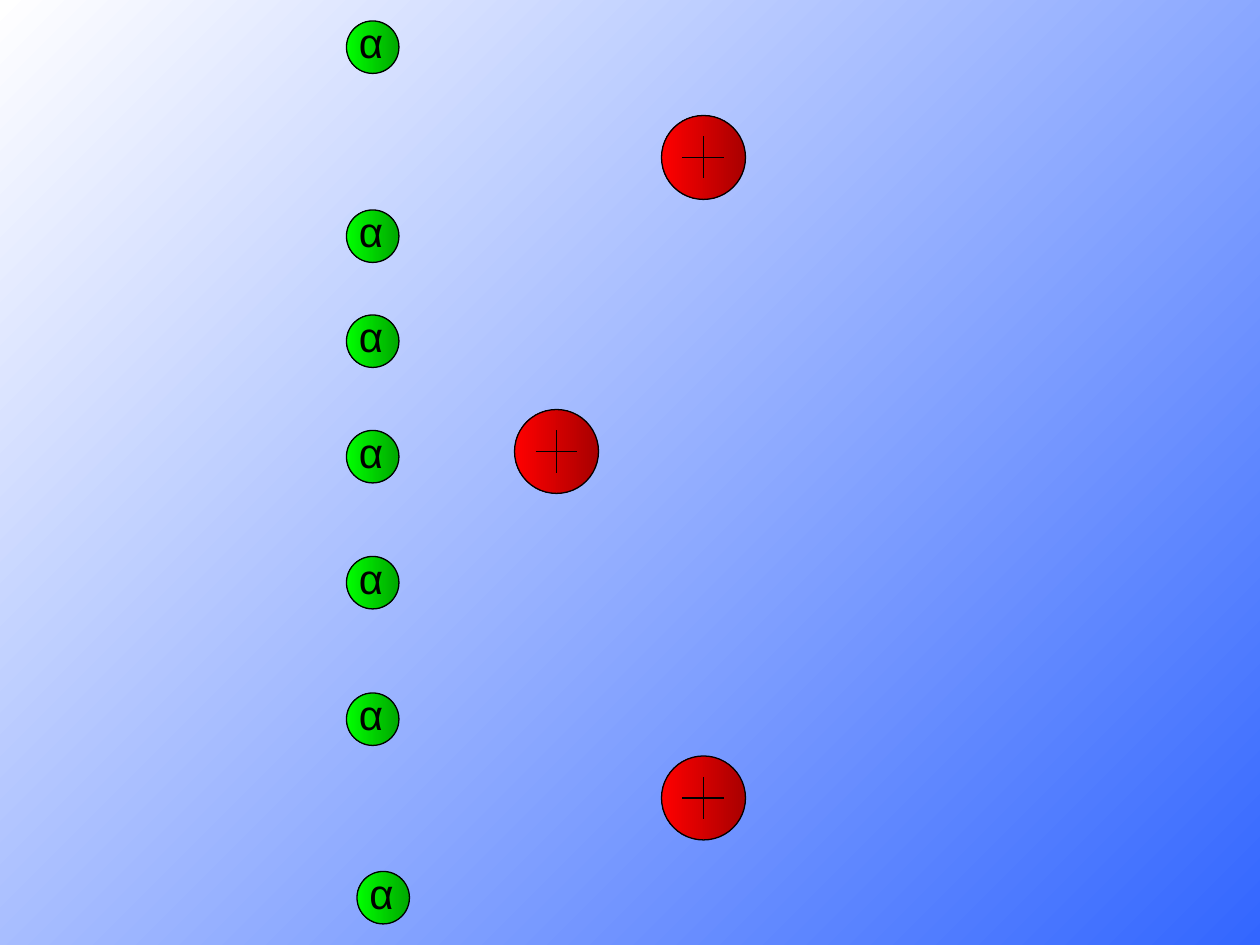
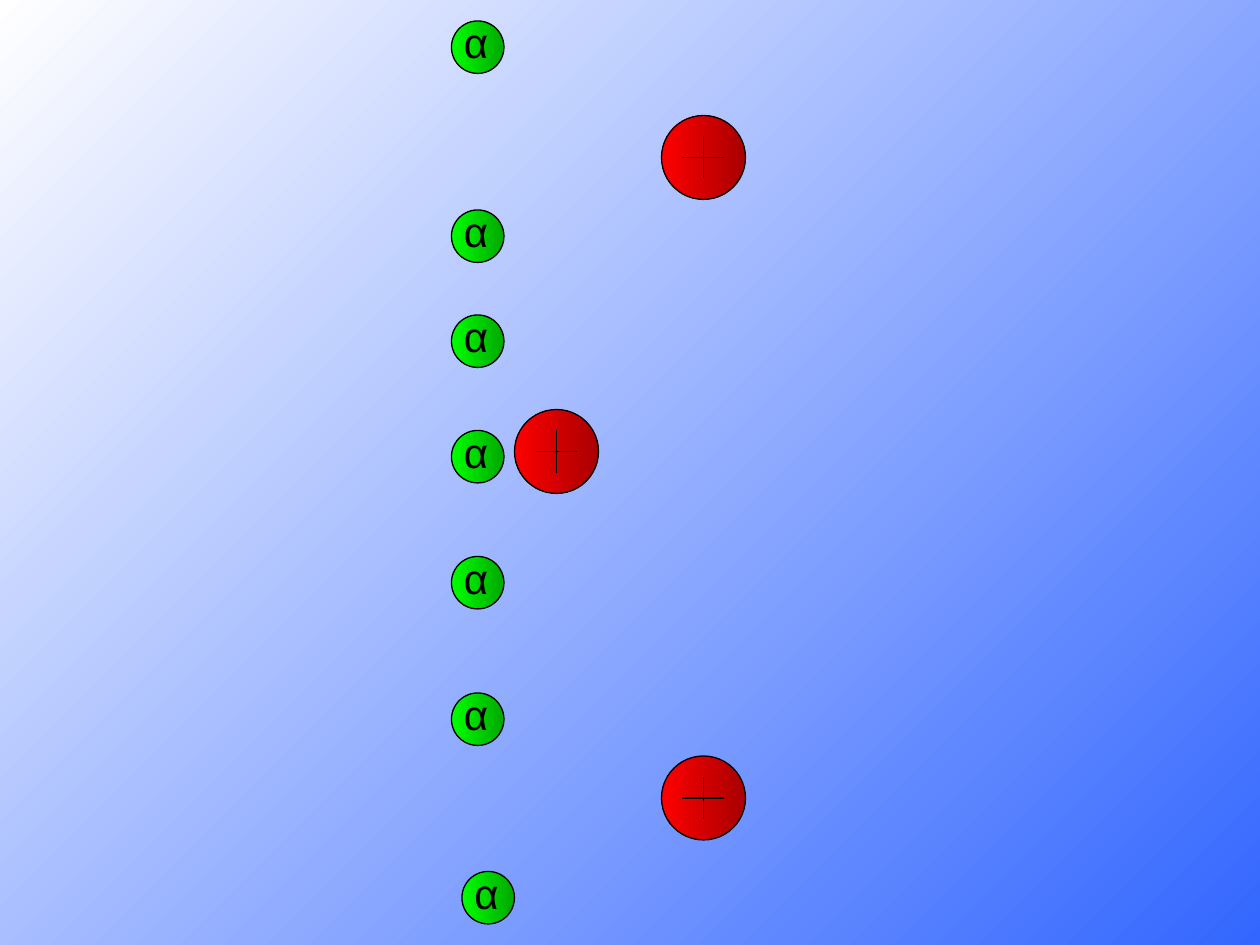
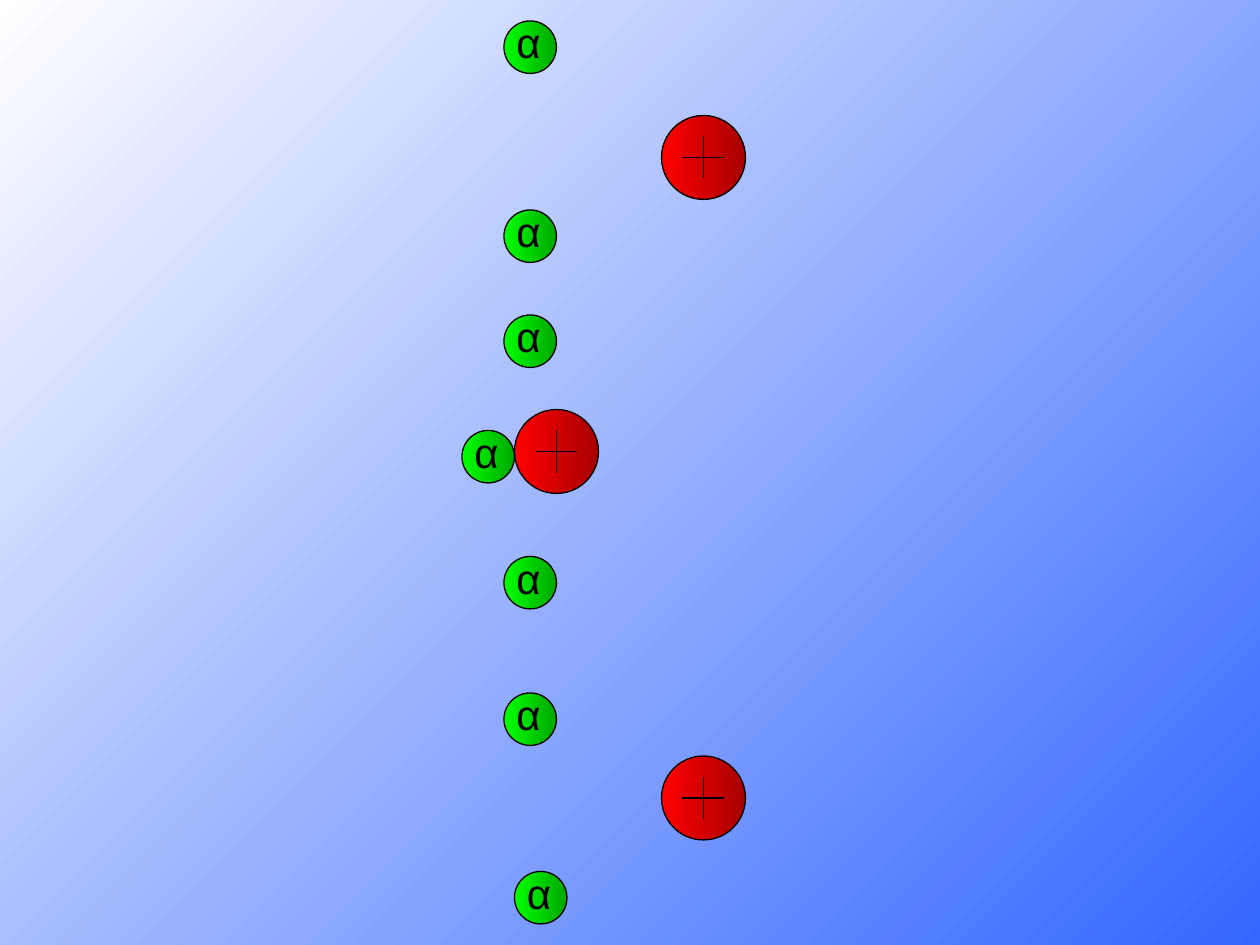
"""Build three slides of alpha particles moving towards positive nuclei."""
import pptx
import pptx.dml.color
import pptx.enum.shapes
import pptx.enum.text
import pptx.oxml.ns
import pptx.util
from lxml import etree

RGBColor = pptx.dml.color.RGBColor
BLUE = RGBColor(0x33, 0x66, 0xFF)
WHITE = RGBColor(0xFF, 0xFF, 0xFF)
DARK_RED = RGBColor(0xA8, 0x00, 0x00)
RED = RGBColor(0xFF, 0x00, 0x00)
DARK_GREEN = RGBColor(0x00, 0xA8, 0x00)
GREEN = RGBColor(0x00, 0xFF, 0x00)
BLACK = RGBColor(0x00, 0x00, 0x00)

NUCLEI = [(63, 11), (49, 39), (63, 72)]
NUCLEUS_SIZE = 8
ALPHA_SIZE = 5
MIDDLE_ROW, BOTTOM_ROW = 41, 83
ALPHA_ROWS = [66, MIDDLE_ROW, 20, BOTTOM_ROW, 2, 53, 30]


def grid(n):
    return pptx.util.Cm(n * 2.54 / 12)


class Deck:
    def __init__(self):
        self.prs = pptx.Presentation()
        self.prs.slide_width = pptx.util.Cm(25.4)
        self.prs.slide_height = pptx.util.Cm(19.05)
        self.font, self.size = "Arial", pptx.util.Pt(24)
        self.line_width = pptx.util.Pt(0.75)
        self.s = None

    def slide(self):
        self.s = self.prs.slides.add_slide(self.prs.slide_layouts[6])
        self.gradient(self.s.background.fill, BLUE, WHITE, 135)

    def group(self):
        return self.s.shapes.add_group_shape().shapes

    def gradient(self, fill, start, end, angle):
        fill.gradient()
        fill.gradient_angle = angle
        for stop, color in zip(fill.gradient_stops, (start, end)):
            stop.color.rgb = color

    def outline(self, line):
        line.color.rgb = BLACK
        line.width = self.line_width

    def ball(self, shapes, x, y, size, dark, light):
        oval = pptx.enum.shapes.MSO_SHAPE.OVAL
        sp = shapes.add_shape(oval, grid(x), grid(y), grid(size), grid(size))
        sp.shadow.inherit = False
        self.gradient(sp.fill, dark, light, 180)
        self.outline(sp.line)

    def line(self, shapes, *ends):
        straight = pptx.enum.shapes.MSO_CONNECTOR.STRAIGHT
        cxn = shapes.add_connector(straight, *map(grid, ends))
        self.outline(cxn.line)
        sp_pr = cxn._element.spPr
        etree.SubElement(sp_pr, pptx.oxml.ns.qn("a:effectLst"))

    def label(self, shapes, x, y, text):
        sp = shapes.add_textbox(grid(x), grid(y), pptx.util.Cm(1.04), grid(6))
        tf = sp.text_frame
        tf.word_wrap = False
        tf.auto_size = pptx.enum.text.MSO_AUTO_SIZE.SHAPE_TO_FIT_TEXT
        p = tf.paragraphs[0]
        p.text = text
        p.font.name, p.font.size = self.font, self.size
        p.font.color.rgb = BLACK

    def nucleus(self, x, y):
        shapes = self.group()
        self.ball(shapes, x, y, NUCLEUS_SIZE, DARK_RED, RED)
        cx, cy, arm = x + NUCLEUS_SIZE / 2, y + NUCLEUS_SIZE / 2, 2
        self.line(shapes, cx, cy - arm, cx, cy + arm)
        self.line(shapes, cx - arm, cy, cx + arm, cy)

    def alpha(self, shapes, x, y):
        self.ball(shapes, x, y, ALPHA_SIZE, DARK_GREEN, GREEN)
        self.label(shapes, x, y - 1, "α")


def main():
    deck = Deck()
    for column, middle_shift, separate in [(33, 0, False), (43, 0, False), (48, -4, True)]:
        deck.slide()
        for x, y in NUCLEI:
            deck.nucleus(x, y)
        shifts = {MIDDLE_ROW: middle_shift, BOTTOM_ROW: 1}
        beam = None if separate else deck.group()
        for y in ALPHA_ROWS:
            shapes = deck.group() if separate else beam
            deck.alpha(shapes, column + shifts.get(y, 0), y)
    deck.prs.save("out.pptx")


if __name__ == "__main__":
    main()
